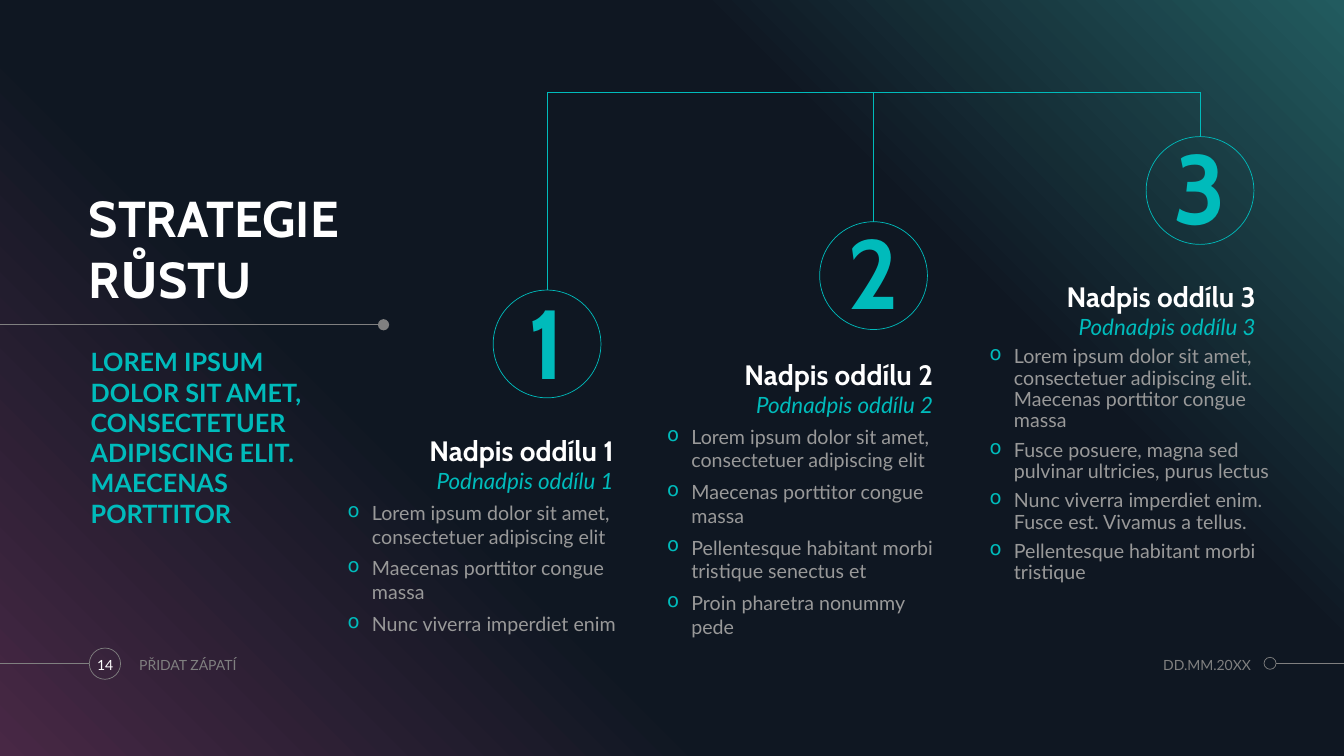
import pptx
import pptx.util
import pptx.dml.color
import pptx.enum.shapes
import pptx.enum.text
import pptx.oxml
import pptx.oxml.ns
import lxml.etree

Pt = pptx.util.Pt
SHAPE = pptx.enum.shapes.MSO_SHAPE
ALIGN = pptx.enum.text.PP_ALIGN
ANCHOR = pptx.enum.text.MSO_ANCHOR
qn = pptx.oxml.ns.qn

# Content
TITLE = "STRATEGIE\vRŮSTU"
INTRO = "LOREM IPSUM DOLOR SIT AMET, CONSECTETUER ADIPISCING ELIT. MAECENAS PORTTITOR"
FOOTER, DATE, PAGE = "PŘIDAT ZÁPATÍ", "DD.MM.20XX", "14"
SECTIONS = [
    dict(left=248.4, circle_top=207.2, head_top=306, list_h=101, inset=5.76, spacing=1.0,
         items=["Lorem ipsum dolor sit amet, consectetuer adipiscing elit",
                "Maecenas porttitor congue massa",
                "Nunc viverra imperdiet enim"]),
    dict(left=476.6, circle_top=158.4, head_top=251.5, list_h=140.4, inset=2.88, spacing=1.0,
         items=["Lorem ipsum dolor sit amet, consectetuer adipiscing elit",
                "Maecenas porttitor congue massa",
                "Pellentesque habitant morbi tristique senectus et",
                "Proin pharetra nonummy pede"]),
    dict(left=707, circle_top=97.6, head_top=196, list_h=182.2, inset=2.88, spacing=0.9,
         items=["Lorem ipsum dolor sit amet, consectetuer adipiscing elit. "
                "Maecenas porttitor congue massa",
                "Fusce posuere, magna sed pulvinar ultricies, purus lectus",
                "Nunc viverra imperdiet enim. Fusce est. Vivamus a tellus.",
                "Pellentesque habitant morbi tristique"]),
]
COLORS = dict(purple="482845", navy="0F1722", green="225B5F", teal="00BBBB",
              white="FFFFFF", gray="808080", body="999999", black="000000")
BACKDROP = [(0, "purple"), (34, "navy"), (69, "navy"), (100, "green")]

# Layout
W, H = 960, 540
CIRCLE, FIRST_X, STEP_X, RAIL_Y = 77, 390.8, 233.2, 65.8
HEAD_W, LIST_W, INDENT = 190, 203.8, 17.3

prs = pptx.Presentation()
prs.slide_width, prs.slide_height = Pt(W), Pt(H)
s = prs.slides.add_slide(prs.slide_layouts[6])


def rgb(name):
    return pptx.dml.color.RGBColor.from_string(COLORS[name])


def add_shape(kind, x, y, w, h, fill=None, line=None):
    sp = s.shapes.add_shape(kind, Pt(x), Pt(y), Pt(w), Pt(h))
    sp.shadow.inherit = False
    if fill:
        sp.fill.solid()
        sp.fill.fore_color.rgb = rgb(fill)
    else:
        sp.fill.background()
    if line:
        sp.line.color.rgb = rgb(line)
        sp.line.width = Pt(0.5)
    else:
        sp.line.fill.background()
    return sp


def add_line(x1, y1, x2, y2, color):
    ln = s.shapes.add_connector(pptx.enum.shapes.MSO_CONNECTOR.STRAIGHT,
                                Pt(x1), Pt(y1), Pt(x2), Pt(y2))
    ln.line.color.rgb = rgb(color)
    ln.line.width = Pt(0.5)
    lxml.etree.SubElement(ln._element.spPr, qn("a:effectLst"))
    return ln


def add_bullet(p):
    pPr = p._p.get_or_add_pPr()
    pPr.set("marL", str(Pt(INDENT)))
    pPr.set("indent", str(-Pt(INDENT)))
    color = lxml.etree.SubElement(pPr, qn("a:buClr"))
    lxml.etree.SubElement(color, qn("a:srgbClr"), val=COLORS["teal"])
    lxml.etree.SubElement(pPr, qn("a:buChar"), char="o")


def add_text(text, box=None, sp=None, font="Lato", size=10, color="gray", bold=False,
             italic=False, align=ALIGN.LEFT, anchor=ANCHOR.TOP, inset_top=0,
             spacing=1.0, bullets=False):
    """Write one string, or a list of paragraphs, into a new box or a given shape."""
    if sp is None:
        sp = s.shapes.add_textbox(*[Pt(v) for v in box])
    tf = sp.text_frame
    tf.word_wrap = True
    tf.vertical_anchor = anchor
    tf.margin_left = tf.margin_right = tf.margin_bottom = 0
    tf.margin_top = Pt(inset_top)
    for i, line in enumerate([text] if isinstance(text, str) else text):
        p = tf.paragraphs[0] if i == 0 else tf.add_paragraph()
        p.text = line
        p.alignment = align
        p.line_spacing = spacing
        if i:
            p.space_before = Pt(6)
        if bullets:
            add_bullet(p)
        for r in p.runs:
            r.font.name, r.font.size = font, Pt(size)
            r.font.bold, r.font.italic = bold, italic
            r.font.color.rgb = rgb(color)


# Backdrop
bg = s.background.fill
bg.solid()
bg.fore_color.rgb = rgb("black")
sp = add_shape(SHAPE.RECTANGLE, 0, 0, W, H)
sp.fill.gradient()
sp.fill.gradient_angle = 45
stops = sp._element.spPr.find(".//" + qn("a:gsLst"))
for stop in list(stops):
    stops.remove(stop)
for pos, name in BACKDROP:
    stop = lxml.etree.SubElement(stops, qn("a:gs"), pos=str(pos * 1000))
    lxml.etree.SubElement(stop, qn("a:srgbClr"), val=COLORS[name])

# Title and intro
add_line(0, 232, 274, 232, "gray")
add_shape(SHAPE.OVAL, 270, 228, 8, 8, fill="gray")
add_text(TITLE, (63.4, 118.8, 222.5, 101.5), font="Cabin", size=36, color="white",
         bold=True, anchor=ANCHOR.BOTTOM)
add_text(INTRO, (64.8, 247.7, 174.2, 164.9), size=18, color="teal", bold=True)

# Numbered sections hanging from the rail
last_x = FIRST_X + STEP_X * (len(SECTIONS) - 1)
add_line(FIRST_X, RAIL_Y, last_x, RAIL_Y, "teal")
for i, sec in enumerate(SECTIONS):
    x, left, top = FIRST_X + STEP_X * i, sec["left"], sec["head_top"]
    circle = add_shape(SHAPE.OVAL, x - CIRCLE / 2, sec["circle_top"], CIRCLE, CIRCLE, line="teal")
    add_text(str(i + 1), sp=circle, font="Cabin", size=70, color="teal", bold=True,
             align=ALIGN.CENTER, anchor=ANCHOR.MIDDLE, inset_top=sec["inset"], spacing=0.9)
    add_line(x, RAIL_Y, x, sec["circle_top"], "teal").end_connect(circle, 0)
    add_text(f"Nadpis oddílu {i + 1}", (left, top, HEAD_W, 28), font="Cabin", size=20,
             color="white", bold=True, align=ALIGN.RIGHT, anchor=ANCHOR.BOTTOM, spacing=0.9)
    add_text(f"Podnadpis oddílu {i + 1}", (left, top + 28.4, HEAD_W, 18.7), size=16,
             color="teal", italic=True, align=ALIGN.RIGHT, anchor=ANCHOR.BOTTOM, spacing=0.9)
    add_text(sec["items"], (left, top + 51.8, LIST_W, sec["list_h"]), size=14, color="body",
             spacing=sec["spacing"], bullets=True)

# Footer
add_line(0, 474, 63.5, 474, "gray")
add_shape(SHAPE.OVAL, 63.8, 462.9, 22.3, 22.3, line="gray")
add_shape(SHAPE.OVAL, 902.9, 469.5, 8.6, 8.6, line="gray")
add_line(911.5, 473.8, W, 473.8, "gray")
add_text(PAGE, (61.2, 463, 28, 23.8), color="white", align=ALIGN.CENTER, anchor=ANCHOR.MIDDLE)
add_text(FOOTER, (99.4, 463, 222.5, 23.8), anchor=ANCHOR.MIDDLE)
add_text(DATE, (788.4, 463, 105.1, 23.8), align=ALIGN.RIGHT, anchor=ANCHOR.MIDDLE)

prs.save("out.pptx")
